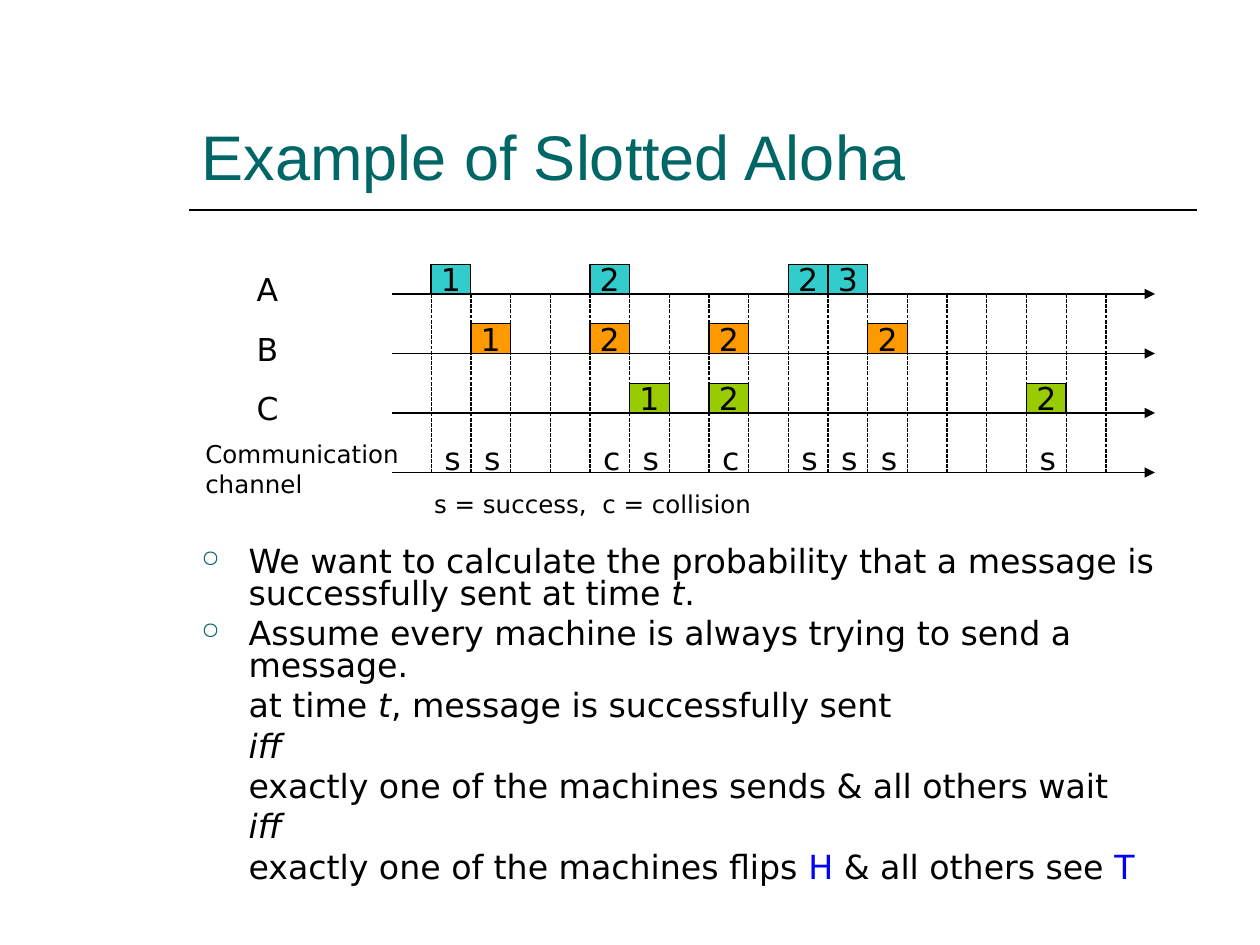
from collections import Counter

from lxml.etree import SubElement
from pptx import Presentation
from pptx.dml.color import RGBColor
from pptx.enum.dml import MSO_LINE as Dash
from pptx.enum.shapes import MSO_CONNECTOR as Conn, MSO_SHAPE as Kind
from pptx.enum.text import MSO_ANCHOR as Anchor, MSO_AUTO_SIZE as Fit, PP_ALIGN as Align
from pptx.oxml.ns import qn
from pptx.util import Pt

BLACK = RGBColor(0x00, 0x00, 0x00)
TEAL = RGBColor(0x00, 0x66, 0x66)
CYAN = RGBColor(0x33, 0xCC, 0xCC)
ORANGE = RGBColor(0xFF, 0x99, 0x00)
GREEN = RGBColor(0x99, 0xCC, 0x00)
BLUE = RGBColor(0x00, 0x00, 0xFF)
SANS = "DejaVu Sans"

# Time grid: slots run across, one axis per machine plus the channel
LEFT, SLOT, COUNT = 246.4, 22.68, 17
TOP, ROW, BOX = 168, 34, 17
START, END = 224, 660

# Name, colour, and the message number sent in each slot
SENDERS = [
    ("A", CYAN, {0: "1", 4: "2", 9: "2", 10: "3"}),
    ("B", ORANGE, {1: "1", 4: "2", 7: "2", 11: "2"}),
    ("C", GREEN, {5: "1", 7: "2", 15: "2"}),
]

deck = Presentation()
deck.slide_width, deck.slide_height = Pt(720), Pt(540)
slide = deck.slides.add_slide(deck.slide_layouts[5])
shapes = slide.shapes


def add_line(x1, y1, x2, y2, width=0.75, dash=None, arrow=False):
    line = shapes.add_connector(Conn.STRAIGHT, Pt(x1), Pt(y1), Pt(x2), Pt(y2))
    line.line.color.rgb = BLACK
    line.line.width = Pt(width)
    if dash:
        line.line.dash_style = dash
    props = line._element.spPr
    if arrow:
        SubElement(props.find(qn("a:ln")), qn("a:tailEnd"), type="triangle")
    SubElement(props, qn("a:effectLst"))


def add_text(x, y, w, h, lines, size, wrap=False):
    frame = shapes.add_textbox(Pt(x), Pt(y), Pt(w), Pt(h)).text_frame
    frame.word_wrap = wrap
    frame.text = lines
    for para in frame.paragraphs:
        para.font.name, para.font.size = SANS, Pt(size)
        para.font.color.rgb = BLACK
    return frame


# Title and its rule
title = shapes.title
title.left, title.top, title.width, title.height = Pt(108), Pt(24), Pt(576), Pt(90)
frame = title.text_frame
frame.text = "Example of Slotted Aloha"
frame.vertical_anchor = Anchor.BOTTOM
frame.auto_size = Fit.NONE
para = frame.paragraphs[0]
para.alignment = Align.LEFT
para.font.name, para.font.size = "Arial", Pt(36)
para.font.color.rgb = TEAL
add_line(108, 120, 684, 120, width=1)

# Slot borders and time axes
for i in range(COUNT + 1):
    x = LEFT + i * SLOT
    add_line(x, TOP, x, TOP + 3 * ROW, dash=Dash.SQUARE_DOT)
for i in range(4):
    add_line(START, TOP + i * ROW, END, TOP + i * ROW, arrow=True)

# Messages of each machine
for row, (name, color, sent) in enumerate(SENDERS):
    y = TOP + row * ROW - BOX
    add_text(139.5, y, 26, 29, name, 18)
    for slot, number in sent.items():
        box = shapes.add_shape(Kind.RECTANGLE, Pt(LEFT + slot * SLOT), Pt(y), Pt(SLOT), Pt(BOX))
        box.shadow.inherit = False
        box.fill.solid()
        box.fill.fore_color.rgb = color
        box.line.color.rgb = BLACK
        box.line.width = Pt(0.75)
        frame = box.text_frame
        frame.word_wrap = False
        frame.vertical_anchor = Anchor.MIDDLE
        frame.text = number
        para = frame.paragraphs[0]
        para.alignment = Align.CENTER
        para.font.name, para.font.size = SANS, Pt(18)
        para.font.color.rgb = BLACK

# Channel: one sender in a slot succeeds, several collide
loads = Counter(slot for _, _, sent in SENDERS for slot in sent)
for slot, load in loads.items():
    add_text(LEFT + slot * SLOT + 0.4, 247.5, 23, 29, "s" if load == 1 else "c", 18)
add_text(110.2, 247.5, 129, 41, "Communication\nchannel", 14, wrap=True)
add_text(241, 276, 199, 24.5, "s = success,  c = collision", 14, wrap=True)

# Explanation: bullet flag, then runs of text with their style
POINTS = [
    (True, [("We want to calculate the probability that a message is successfully sent at time ", ""),
            ("t", "i"), (".", "")]),
    (True, [("Assume every machine is always trying to send a message.", "")]),
    (False, [("at time ", ""), ("t", "i"), (", message is successfully sent", "")]),
    (False, [("iff", "i")]),
    (False, [("exactly one of the machines sends & all others wait", "")]),
    (False, [("iff", "i")]),
    (False, [("exactly one of the machines flips ", ""), ("H", "blue"),
             (" & all others see ", ""), ("T", "blue")]),
]
frame = add_text(108, 309.6, 576, 204, "", 19, wrap=True)
for i, (bullet, runs) in enumerate(POINTS):
    para = frame.add_paragraph() if i else frame.paragraphs[0]
    para.line_spacing = 0.8
    if i:
        para.space_before = Pt(4.8)
    props = para._p.get_or_add_pPr()
    props.set("marL", str(Pt(27)))
    props.set("indent", str(Pt(-27 if bullet else 0)))
    if bullet:
        tint = SubElement(props, qn("a:buClr"))
        SubElement(tint, qn("a:srgbClr"), val=str(TEAL))
        SubElement(props, qn("a:buSzPct"), val="70000")
        SubElement(props, qn("a:buChar"), char="○")
        # Default run properties must follow the bullet
        for old in props.findall(qn("a:defRPr")):
            props.append(old)
    para.font.name, para.font.size = SANS, Pt(19)
    for words, style in runs:
        run = para.add_run()
        run.text = words
        if style == "i":
            run.font.italic = True
        run.font.color.rgb = BLUE if style == "blue" else BLACK

deck.save("out.pptx")
